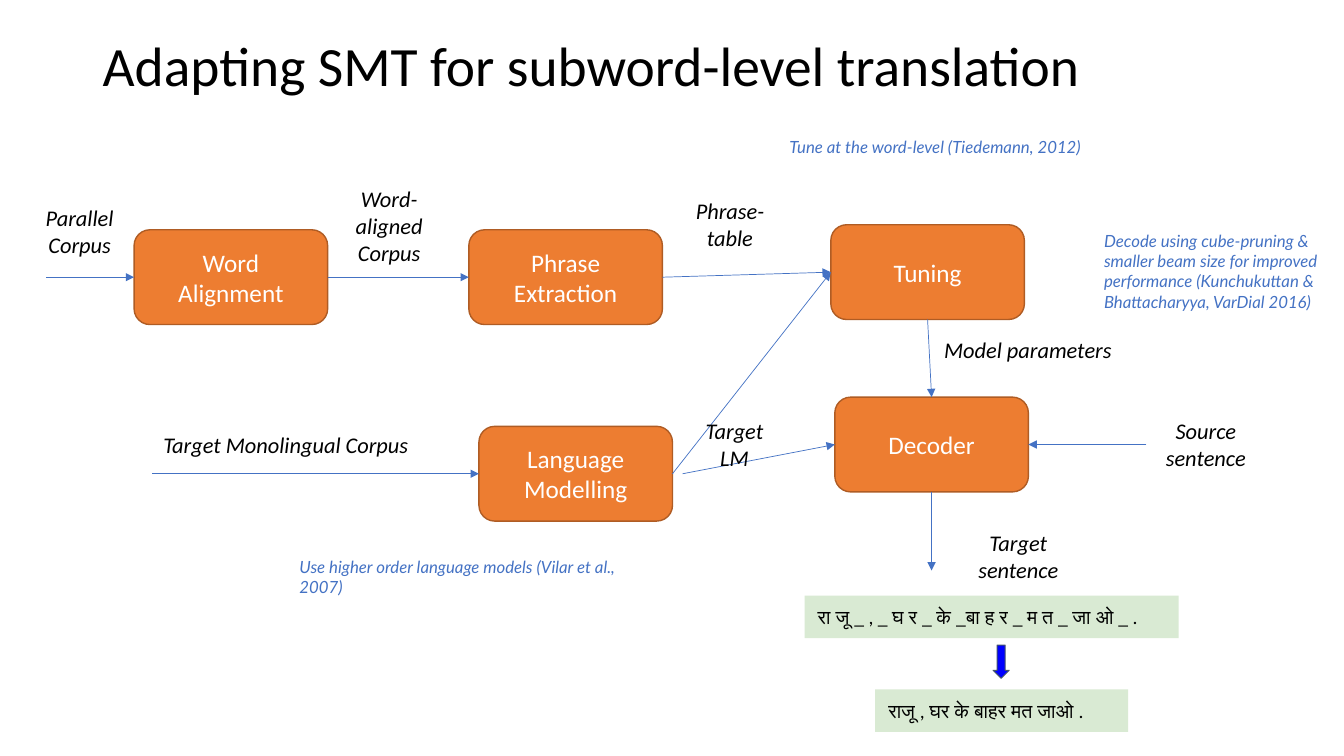
import pptx
import pptx.util
import pptx.dml.color
import pptx.enum.shapes
import pptx.enum.text
import pptx.oxml.ns
import lxml.etree

RGBColor = pptx.dml.color.RGBColor
SHAPES = pptx.enum.shapes.MSO_SHAPE
ALIGN = pptx.enum.text.PP_ALIGN
ANCHOR = pptx.enum.text.MSO_ANCHOR

BLACK = RGBColor(0x00, 0x00, 0x00)
WHITE = RGBColor(0xFF, 0xFF, 0xFF)
ORANGE = RGBColor(0xED, 0x7D, 0x31)
BROWN = RGBColor(0xAF, 0x5C, 0x24)
STEEL = RGBColor(0x44, 0x72, 0xC4)
SLATE = RGBColor(0x44, 0x54, 0x6A)
MINT = RGBColor(0xD9, 0xEA, 0xD3)
BLUE = RGBColor(0x00, 0x00, 0xFF)

COLUMNS, ROWS = 13.33, 7.5
CELL = pptx.util.Inches(1)
STAGE_SIZE = (1.92, 0.94)
STRIP_HEIGHT = 0.42
NOTE_INSET = 0.13
TOP, LEFT, BOTTOM, RIGHT = range(4)

TITLE = ("Adapting SMT for subword-level translation", (0.92, 0.4, 11.5, 0.55))
STAGES = {
    "Word Alignment": (1.33, 2.28),
    "Phrase Extraction": (4.65, 2.28),
    "Tuning": (8.24, 2.23),
    "Language Modelling": (4.75, 4.23),
    "Decoder": (8.28, 3.94),
}
ARROWS = [
    (("Word Alignment", RIGHT), ("Phrase Extraction", LEFT)),
    (("Phrase Extraction", RIGHT), ("Tuning", LEFT)),
    (("Language Modelling", RIGHT), ("Tuning", LEFT)),
    ((0.46, 2.75), ("Word Alignment", LEFT)),
    ((1.51, 4.7), ("Language Modelling", LEFT)),
    (("Tuning", BOTTOM), ("Decoder", TOP)),
    ((6.77, 4.7), ("Decoder", LEFT)),
    ((11.37, 4.41), ("Decoder", RIGHT)),
    (("Decoder", BOTTOM), (9.24, 5.66)),
]
LABELS = [
    ("Target Monolingual Corpus", (1.51, 4.23, 2.65, 0.37)),
    ("Target\nLM", (6.87, 4.09, 0.83, 0.64)),
    ("Parallel Corpus", (0.32, 1.98, 0.94, 0.64)),
    ("Word-aligned Corpus", (3.39, 1.79, 0.94, 0.91)),
    ("Phrase-table", (6.77, 1.91, 0.94, 0.64)),
    ("Source sentence", (11.29, 4.09, 1.34, 0.64)),
    ("Target sentence", (9.43, 5.2, 1.34, 0.64)),
    ("Model parameters", (9.11, 3.29, 2.17, 0.37)),
]
NOTES = [
    ("Use higher order language models (Vilar et al., 2007)", (2.84, 5.39, 3.83, 0.57), ANCHOR.TOP),
    ("Tune at the word-level (Tiedemann, 2012)", (7.7, 1.15, 3.22, 0.62), ANCHOR.MIDDLE),
    ("Decode using cube-pruning & smaller beam size for improved performance "
     "(Kunchukuttan & Bhattacharyya, VarDial 2016)", (10.82, 2.18, 2.41, 1.02), ANCHOR.MIDDLE),
]
STRIPS = [
    ("रा जू _ , _ घ र _ के _बा ह र _ म त _ जा ओ _ .", (7.98, 5.91, 3.71, STRIP_HEIGHT)),
    ("राजू , घर के बाहर मत जाओ .", (8.68, 6.84, 2.51, STRIP_HEIGHT)),
]
JOIN_ARROW = (9.85, 6.4, 0.16, 0.33)


def on_grid(lengths):
    return [round(length * CELL) for length in lengths]


def write(shape, text, size, color, font="Calibri", italic=False, align=ALIGN.LEFT,
          anchor=ANCHOR.TOP, inset=None, spacing=None):
    frame = shape.text_frame
    frame.word_wrap = True
    frame.vertical_anchor = anchor
    if inset is not None:
        frame.margin_left = frame.margin_right = round(inset * CELL)
        frame.margin_top = frame.margin_bottom = round(inset * CELL)
    for index, line in enumerate(text.split("\n")):
        paragraph = frame.add_paragraph() if index else frame.paragraphs[0]
        paragraph.alignment = align
        paragraph.line_spacing = spacing
        run = paragraph.add_run()
        run.text = line
        run.font.name = font
        run.font.size = pptx.util.Pt(size)
        run.font.italic = italic
        run.font.color.rgb = color


def add_block(slide, kind, place, fill, line=None, width=1):
    shape = slide.shapes.add_shape(kind, *on_grid(place))
    shape.shadow.inherit = False
    shape.fill.solid()
    shape.fill.fore_color.rgb = fill
    if line is None:
        shape.line.fill.background()
    else:
        shape.line.color.rgb = line
        shape.line.width = pptx.util.Pt(width)
    return shape


def add_arrow(slide, start, end, stages):
    connector = slide.shapes.add_connector(pptx.enum.shapes.MSO_CONNECTOR.STRAIGHT, 0, 0, 0, 0)
    if start[0] in stages:
        connector.begin_connect(stages[start[0]], start[1])
    else:
        connector.begin_x, connector.begin_y = on_grid(start)
    if end[0] in stages:
        connector.end_connect(stages[end[0]], end[1])
    else:
        connector.end_x, connector.end_y = on_grid(end)
    connector.line.color.rgb = STEEL
    connector.line.width = pptx.util.Pt(0.5)
    qualify = pptx.oxml.ns.qn
    properties = connector.element.spPr
    head = lxml.etree.SubElement(properties.find(qualify("a:ln")), qualify("a:tailEnd"))
    head.set("type", "triangle")
    lxml.etree.SubElement(properties, qualify("a:effectLst"))


def main():
    """Build the subword-level translation pipeline slide."""
    presentation = pptx.Presentation()
    presentation.slide_width, presentation.slide_height = on_grid((COLUMNS, ROWS))
    slide = presentation.slides.add_slide(presentation.slide_layouts[6])

    text, place = TITLE
    write(slide.shapes.add_textbox(*on_grid(place)), text, 39.6, BLACK,
          anchor=ANCHOR.MIDDLE, spacing=0.9)

    stages = {}
    for name, corner in STAGES.items():
        stages[name] = add_block(slide, SHAPES.ROUNDED_RECTANGLE, corner + STAGE_SIZE, ORANGE, BROWN)
        write(stages[name], name, 18, WHITE, align=ALIGN.CENTER, anchor=ANCHOR.MIDDLE)
    for start, end in ARROWS:
        add_arrow(slide, start, end, stages)

    for text, place in LABELS:
        write(slide.shapes.add_textbox(*on_grid(place)), text, 16, BLACK,
              italic=True, align=ALIGN.CENTER)
    for text, place, anchor in NOTES:
        write(slide.shapes.add_textbox(*on_grid(place)), text, 12, STEEL, font="Lato",
              italic=True, anchor=anchor, inset=NOTE_INSET)
    for text, place in STRIPS:
        write(add_block(slide, SHAPES.RECTANGLE, place, MINT), text, 14, BLACK,
              anchor=ANCHOR.MIDDLE, inset=NOTE_INSET)
    add_block(slide, SHAPES.DOWN_ARROW, JOIN_ARROW, BLUE, SLATE, 0.75)

    presentation.save("out.pptx")


if __name__ == "__main__":
    main()
